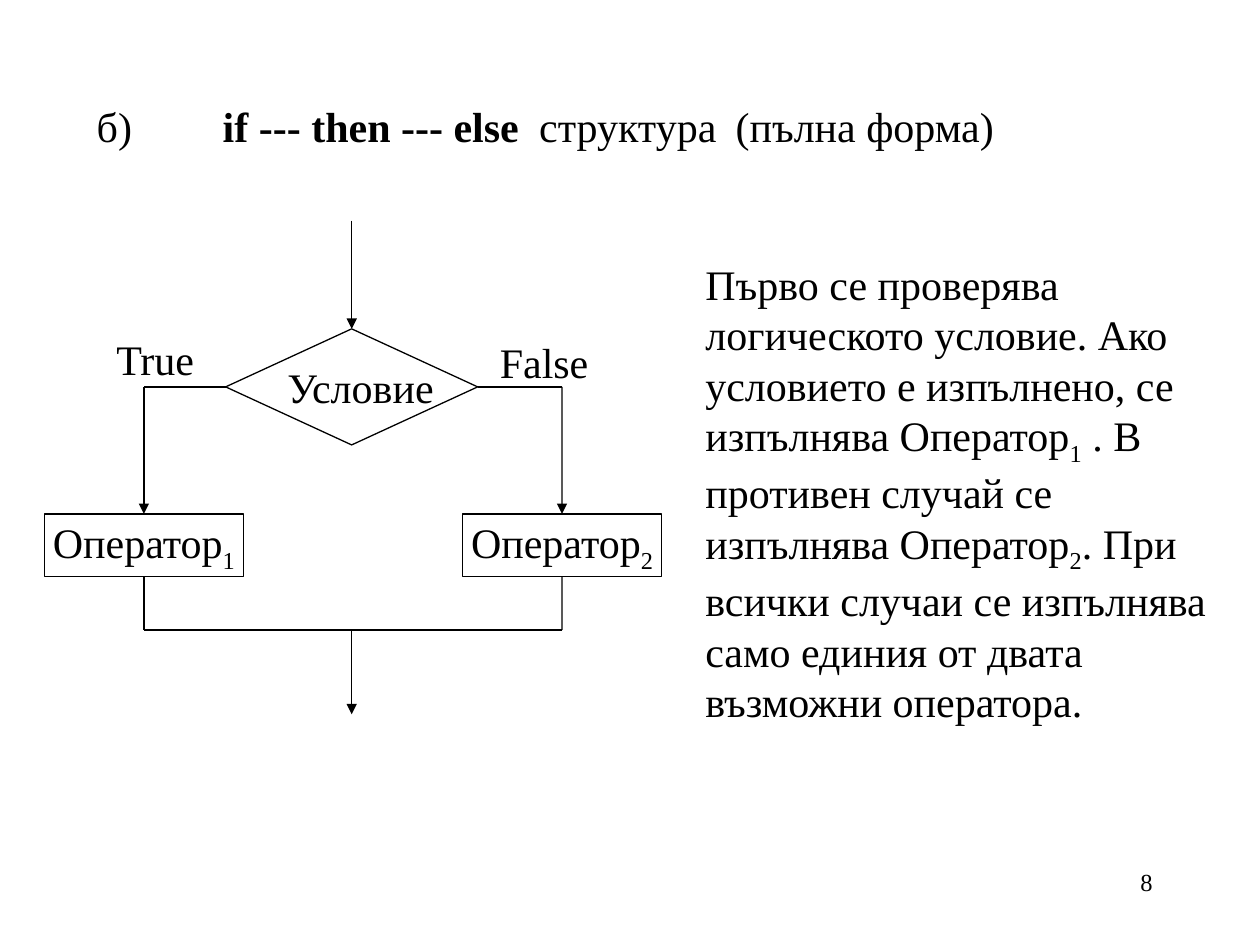
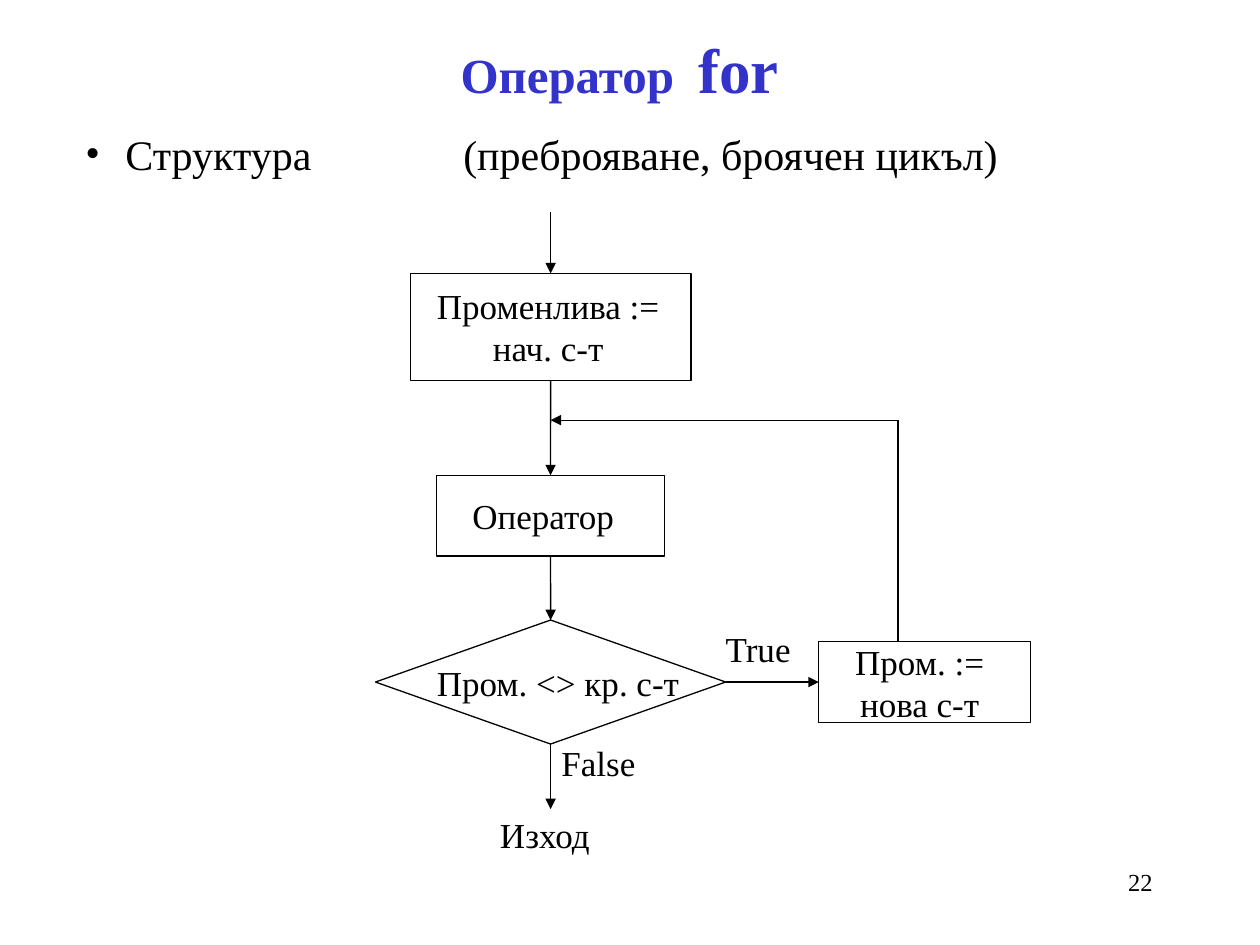
from dataclasses import dataclass

from lxml import etree
from pptx import Presentation
from pptx.dml.color import RGBColor
from pptx.enum import shapes, text
from pptx.oxml import ns
from pptx.util import Cm, Pt


@dataclass(frozen=True)
class Theme:
    font: str = "Times New Roman"
    ink: RGBColor = RGBColor(0x00, 0x00, 0x00)
    accent: RGBColor = RGBColor(0x33, 0x33, 0xCC)
    paper: RGBColor = RGBColor(0xFF, 0xFF, 0xFF)
    text_size: int = 24
    chart_size: int = 20
    title_size: int = 28
    keyword_size: int = 36
    number_size: int = 14
    line: float = 0.75


T = Theme()
RECT, DIAMOND = shapes.MSO_SHAPE.RECTANGLE, shapes.MSO_SHAPE.DIAMOND
LEFT, CENTER, RIGHT = text.PP_ALIGN.LEFT, text.PP_ALIGN.CENTER, text.PP_ALIGN.RIGHT
TOP, MIDDLE = text.MSO_ANCHOR.TOP, text.MSO_ANCHOR.MIDDLE
SITE_TOP, SITE_LEFT, SITE_BOTTOM, SITE_RIGHT = range(4)
SUB = {"baseline": "-25000"}


def apply(target, values):
    for name, value in values.items():
        setattr(target, name, value)


def child(parent, tag, **attrs):
    return etree.SubElement(parent, ns.qn(tag), attrs)


# Text

def add_runs(p, runs, size, color=T.ink):
    """Runs are plain strings or (string, font values, XML attributes)."""
    for item in [runs] if isinstance(runs, str) else runs:
        words, values, attrs = (item, {}, {}) if isinstance(item, str) else item
        r = p.add_run()
        r.text = words
        apply(r.font, {"name": T.font, "size": Pt(size), "bold": False, **values})
        r.font.color.rgb = color
        for name, value in attrs.items():
            r._r.get_or_add_rPr().set(name, value)


def set_tabs(p, stops):
    tabs = child(p._p.get_or_add_pPr(), "a:tabLst")
    for stop in stops:
        child(tabs, "a:tab", pos=str(Cm(stop)), algn="l")


def set_bullet(p, indent):
    pPr = p._p.get_or_add_pPr()
    pPr.set("marL", str(Cm(indent)))
    pPr.set("indent", str(-Cm(indent)))
    child(child(pPr, "a:buClr"), "a:srgbClr", val=str(T.ink))
    child(pPr, "a:buFont", typeface=T.font)
    child(pPr, "a:buChar", char="•")


def frame(sp, align=LEFT, anchor=TOP, inset=(0.25, 0.13, 0.25, 0.13), wrap=True):
    tf = sp.text_frame
    apply(tf, {"word_wrap": wrap, "auto_size": text.MSO_AUTO_SIZE.NONE,
               "vertical_anchor": anchor})
    for side, value in zip(("left", "top", "right", "bottom"), inset):
        setattr(tf, "margin_" + side, Cm(value))
    p = tf.paragraphs[0]
    p.alignment = align
    return p


def label(s, at, runs, size, bullet=None, tabs=(), **layout):
    sp = s.shapes.add_textbox(*map(Cm, at))
    p = frame(sp, **layout)
    if bullet:
        set_bullet(p, bullet)
    if tabs:
        set_tabs(p, tabs)
    add_runs(p, runs, size)


def title(s, at, runs, size, color=T.ink, tabs=(), **layout):
    sp = s.shapes.title
    apply(sp, dict(zip(("left", "top", "width", "height"), map(Cm, at))))
    p = frame(sp, **layout)
    if tabs:
        set_tabs(p, tabs)
    add_runs(p, runs, size, color)


def new_slide(prs, number):
    s = prs.slides.add_slide(prs.slide_layouts[5])
    s.background.fill.solid()
    s.background.fill.fore_color.rgb = T.paper
    label(s, (18.21, 17.35, 5.28, 1.27), str(number), T.number_size, align=RIGHT)
    return s


# Flowchart

def block(s, kind, cx, top, w, h, runs, size, shift=0, side=0.1, wrap=True):
    """A block centred on cx; shift moves its text sideways."""
    sp = s.shapes.add_shape(kind, *map(Cm, (cx - w / 2, top, w, h)))
    sp.shadow.inherit = False
    sp.fill.background()
    sp.line.color.rgb = T.ink
    sp.line.width = Pt(T.line)
    inset = (side + max(2 * shift, 0), 0, side + max(-2 * shift, 0), 0)
    add_runs(frame(sp, CENTER, MIDDLE, inset, wrap), runs, size)
    return sp


def site_point(sp, site):
    x = sp.left + sp.width * {SITE_LEFT: 0, SITE_RIGHT: 2}.get(site, 1) // 2
    y = sp.top + sp.height * {SITE_TOP: 0, SITE_BOTTOM: 2}.get(site, 1) // 2
    return x, y


def link(s, start, end, arrow=True):
    """Each end is (x, y) in cm or (block, connection site)."""
    ends = start, end
    joined = [not isinstance(e[0], (int, float)) for e in ends]
    points = [site_point(*e) if j else tuple(map(Cm, e))
              for e, j in zip(ends, joined)]
    c = s.shapes.add_connector(shapes.MSO_CONNECTOR.STRAIGHT, *points[0], *points[1])
    for e, j, join in zip(ends, joined, (c.begin_connect, c.end_connect)):
        if j:
            join(*e)
    c.line.color.rgb = T.ink
    c.line.width = Pt(T.line)
    if arrow:
        child(c.line._get_or_add_ln(), "a:tailEnd", type="triangle", w="med", len="med")
    child(c._element.spPr, "a:effectLst")


# Slides

def if_slide(prs):
    s = new_slide(prs, 8)
    title(s, (1.7, 1.9, 21.8, 1.27),
          ["б)\t", ("if --- then --- else\t", {"bold": True}, {}),
           "структура\t(пълна форма)"],
          T.text_size, tabs=(2.54, 8.92, 12.88))

    # Condition with its two branches
    axis, branch_y, merge_y = 7.09, 7.8, 12.7
    cond = block(s, DIAMOND, axis, 6.63, 5.08, 2.34, "Условие", T.text_size,
                 shift=0.18, wrap=False)
    link(s, (axis, 4.45), (cond, SITE_TOP))
    for n, x, site in (("1", 2.9, SITE_LEFT), ("2", 11.33, SITE_RIGHT)):
        op = block(s, RECT, x, 10.36, 4.01, 1.27, ["Оператор", (n, {}, SUB)],
                   T.text_size)
        link(s, (cond, site), (x, branch_y), arrow=False)
        link(s, (x, branch_y), (op, SITE_TOP))
        link(s, (op, SITE_BOTTOM), (x, merge_y), arrow=False)
        link(s, (x, merge_y), (axis, merge_y), arrow=False)
    link(s, (axis, merge_y), (axis, 14.4))
    for words, at in (("True", (1.9, 6.73, 2.46, 1.02)),
                      ("False", (9.88, 6.78, 2.18, 1.02))):
        label(s, at, words, T.text_size, align=CENTER, inset=(0, 0, 0, 0))

    # Explanation
    label(s, (13.97, 5.08, 10.8, 9.68),
          ["Първо се проверява логическото условие. Ако условието е изпълнено, "
           "се изпълнява Оператор", ("1", {}, SUB),
           " . В противен случай се изпълнява Оператор", ("2", {}, SUB),
           ". При всички случаи се изпълнява само единия от двата възможни "
           "оператора."], T.text_size)


def for_slide(prs):
    s = new_slide(prs, 22)
    bold = {"bold": True}
    title(s, (1.7, 0.64, 21.59, 1.47),
          [("Оператор", bold, {}),
           (" ", bold, {"spc": "700"}),
           ("for", {**bold, "size": Pt(T.keyword_size)}, {})],
          T.title_size, T.accent, align=CENTER, anchor=MIDDLE)
    label(s, (1.47, 2.46, 21.59, 1.27), "Структура\t\t(преброяване, броячен цикъл)",
          T.text_size, bullet=0.81, tabs=(5.08, 7.62))

    # Blocks of the loop
    axis, back_x, back_y = 11.1, 18.1, 8.47
    size = T.chart_size
    init = block(s, RECT, axis, 5.51, 5.66, 2.16, "Променлива := нач. с-т", size,
                 shift=-0.05, side=0.3)
    body = block(s, RECT, axis, 9.58, 4.6, 1.63, "Оператор", size, shift=-0.15)
    test = block(s, DIAMOND, axis, 12.5, 7.06, 2.5, "Пром. <> кр. с-т", size,
                 shift=0.15, wrap=False)
    step = block(s, RECT, 18.64, 12.93, 4.27, 1.64, "Пром. := нова с-т", size,
                 shift=-0.1, side=0.3)

    # Flow
    link(s, (axis, 4.27), (init, SITE_TOP))
    link(s, (init, SITE_BOTTOM), (body, SITE_TOP))
    link(s, (body, SITE_BOTTOM), (test, SITE_TOP))
    link(s, (test, SITE_RIGHT), (step, SITE_LEFT))
    link(s, (back_x, 12.93), (back_x, back_y), arrow=False)
    link(s, (back_x, back_y), (axis, back_y))
    link(s, (test, SITE_BOTTOM), (axis, 16.31))
    for words, at in (("True", (14.38, 12.52, 1.98, 1.12)),
                      ("False", (11.07, 14.81, 2.11, 1.12)),
                      ("Изход", (9.83, 16.26, 2.54, 1.12))):
        label(s, at, words, size)


def main():
    prs = Presentation()
    apply(prs, {"slide_width": Cm(25.4), "slide_height": Cm(19.05)})
    if_slide(prs)
    for_slide(prs)
    prs.save("out.pptx")


if __name__ == "__main__":
    main()
